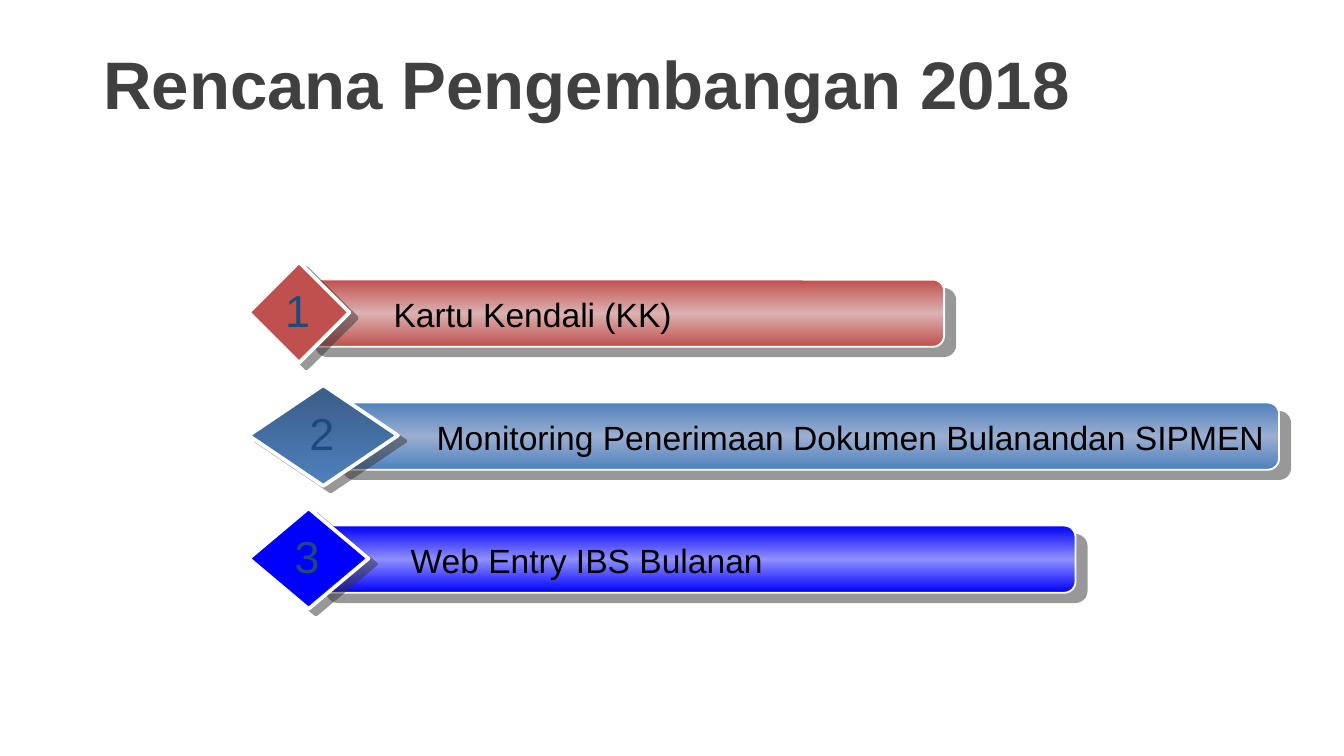
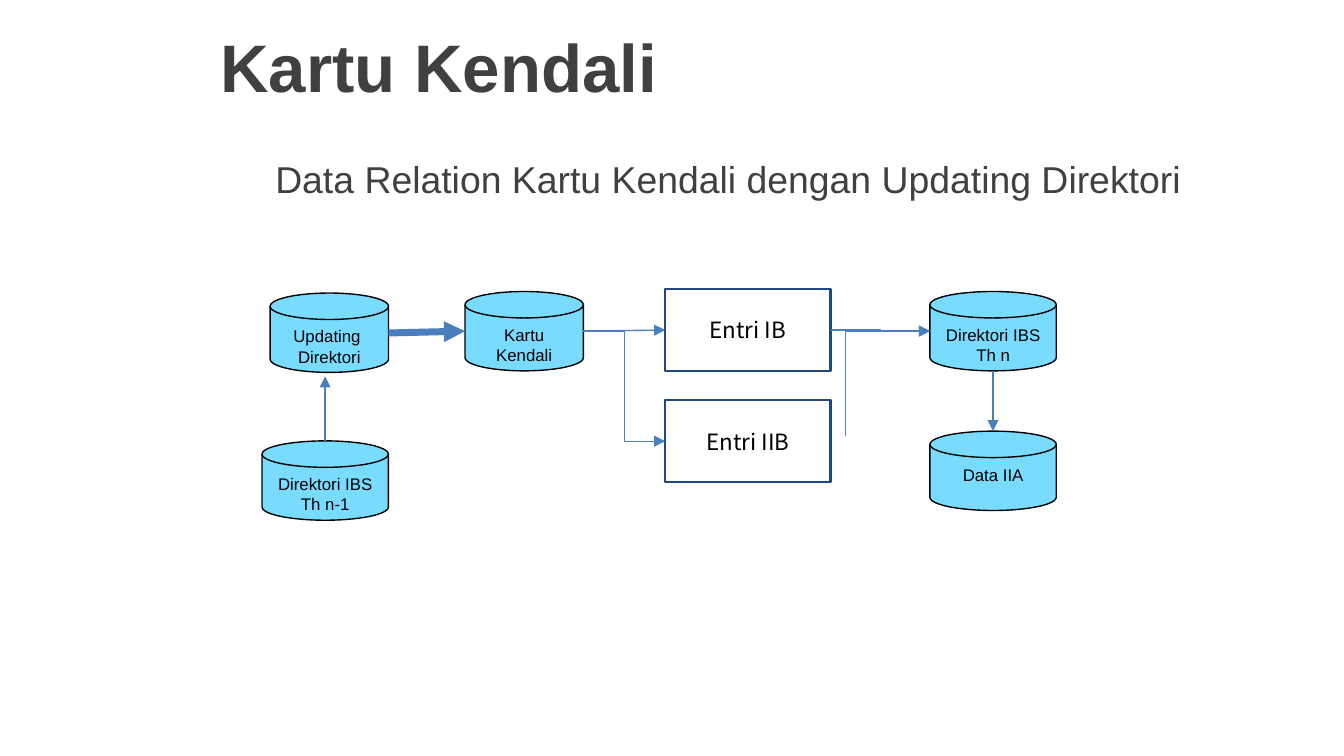
"""Build the 2018 development plan and control card slides."""
from copy import deepcopy
from dataclasses import dataclass

from lxml.etree import SubElement
from pptx import Presentation
from pptx.dml.color import RGBColor
from pptx.enum.shapes import MSO_CONNECTOR, MSO_SHAPE
from pptx.enum.text import MSO_ANCHOR, MSO_AUTO_SIZE, PP_ALIGN
from pptx.oxml.ns import qn
from pptx.util import Pt


@dataclass(frozen=True)
class Theme:
    """Hold the colours, fonts and type sizes of the deck."""
    font: str = "Arial"
    entry_font: str = "Noto Sans CJK KR"
    heading: str = "404040"
    ink: str = "000000"
    navy: str = "1F497D"
    white: str = "FFFFFF"
    disk: str = "79DCFF"
    arrow: str = "4B7EBC"
    shadow: str = "333333"
    title_size: float = 36
    number_size: float = 24
    subtitle_size: float = 20
    label_size: float = 18
    entry_size: float = 12
    disk_size: float = 9


THEME = Theme()


def points(*values):
    """Convert numbers to point lengths."""
    return [Pt(value) for value in values]


def write(shape, text, size, colour, font=THEME.font, bold=False, align=PP_ALIGN.LEFT,
          anchor=MSO_ANCHOR.TOP, wrap=True):
    """Set and format the text of a shape."""
    frame = shape.text_frame
    frame.text = text
    frame.word_wrap = wrap
    frame.vertical_anchor = anchor
    for paragraph in frame.paragraphs:
        paragraph.alignment = align
        for span in paragraph.runs:
            span.font.name = font
            span.font.size = Pt(size)
            span.font.bold = bold
            span.font.color.rgb = RGBColor.from_string(colour)


def add_heading(page, text, area, size, bold=False):
    """Add a vertically centred heading."""
    box = page.shapes.add_textbox(*points(*area))
    write(box, text, size, THEME.heading, bold=bold, anchor=MSO_ANCHOR.MIDDLE)


def add_title(page, text, left, top):
    """Add a slide title in the shared style."""
    add_heading(page, text, (left, top, 609, 70), THEME.title_size, True)


def paint(shape, colours, line, width):
    """Fill a shape with one colour or a downward gradient and outline it."""
    if len(colours) == 1:
        shape.fill.solid()
        shape.fill.fore_color.rgb = RGBColor.from_string(colours[0])
    else:
        shape.fill.gradient()
        shape.fill.gradient_angle = 270
        stops = shape.fill.gradient_stops
        if len(colours) == 3:
            first = shape._element.spPr.find(".//" + qn("a:gs"))
            first.addnext(deepcopy(first))
            stops = shape.fill.gradient_stops
        for index, (stop, colour) in enumerate(zip(stops, colours)):
            stop.position = index / (len(colours) - 1)
            stop.color.rgb = RGBColor.from_string(colour)
    shape.line.color.rgb = RGBColor.from_string(line)
    shape.line.width = Pt(width)
    shape.shadow.inherit = False


def cast_shadow(shape, distance, angle):
    """Give a shape a hard, half-transparent shadow."""
    effects = shape._element.spPr.find(qn("a:effectLst"))
    shadow = SubElement(effects, qn("a:outerShdw"), blurRad="0", dist=str(Pt(distance)),
                        dir=str(angle * 60000), algn="ctr", rotWithShape="0")
    colour = SubElement(shadow, qn("a:srgbClr"), val=THEME.shadow)
    SubElement(colour, qn("a:alpha"), val="50000")


def add_plan_row(page, number, text, top, width, label_width, bar_colours, diamond_colours):
    """Add a numbered diamond with its bar, scaled by the diamond's width."""
    left = 133.2
    shapes = page.shapes.add_group_shape().shapes
    bar = shapes.add_shape(MSO_SHAPE.ROUNDED_RECTANGLE,
                           *points(left + 0.56 * width, top, 6.34 * width, 36))
    paint(bar, bar_colours, THEME.white, 1)
    cast_shadow(bar, 7.8, 40)
    diamond = shapes.add_shape(MSO_SHAPE.DIAMOND, *points(left, top - 9.4, width, 54))
    paint(diamond, diamond_colours, THEME.white, 2)
    cast_shadow(diamond, 5, 37)
    label = shapes.add_textbox(*points(left + 0.89 * width, top + 4.3, label_width, 29))
    write(label, text, THEME.label_size, THEME.ink)
    properties = label.text_frame.paragraphs[0]._p.get_or_add_pPr()
    properties.set("marL", str(Pt(22.5)))
    properties.set("indent", "0")
    digit = shapes.add_textbox(*points(left + width / 2 - 14.8, top - 2, 28, 36.4))
    write(digit, str(number), THEME.number_size, THEME.navy, align=PP_ALIGN.CENTER, wrap=False)
    for box in (label, digit):
        box.text_frame.auto_size = MSO_AUTO_SIZE.SHAPE_TO_FIT_TEXT


def add_disk(page, text, left, top, width):
    """Add a data store."""
    disk = page.shapes.add_shape(MSO_SHAPE.FLOWCHART_MAGNETIC_DISK,
                                 *points(left, top, width, 42.5))
    paint(disk, [THEME.disk], THEME.ink, 0.75)
    write(disk, text, THEME.disk_size, THEME.ink, align=PP_ALIGN.CENTER)


def add_entry(page, text, top):
    """Add a data entry box and return it."""
    box = page.shapes.add_shape(MSO_SHAPE.RECTANGLE, *points(356.4, top, 88.6, 44))
    paint(box, [THEME.white], THEME.navy, 1.25)
    write(box, text, THEME.entry_size, THEME.ink, THEME.entry_font,
          align=PP_ALIGN.CENTER, anchor=MSO_ANCHOR.MIDDLE)
    return box


def add_arrow(page, begin, end, kind=MSO_CONNECTOR.STRAIGHT, width=0.75):
    """Add an arrow and return it."""
    arrow = page.shapes.add_connector(kind, *points(*begin, *end))
    arrow.line.color.rgb = RGBColor.from_string(THEME.arrow)
    arrow.line.width = Pt(width)
    SubElement(arrow.line._get_or_add_ln(), qn("a:tailEnd"), type="triangle")
    SubElement(arrow._element.spPr, qn("a:effectLst"))
    return arrow


def add_corner_arrow(page, begin, end):
    """Add an arrow that runs up and then right, as a quarter-turned elbow."""
    middle_x, middle_y = (begin[0] + end[0]) / 2, (begin[1] + end[1]) / 2
    half_x, half_y = (begin[1] - end[1]) / 2, (end[0] - begin[0]) / 2
    arrow = add_arrow(page, (middle_x + half_x, middle_y + half_y),
                      (middle_x - half_x, middle_y - half_y), MSO_CONNECTOR.ELBOW)
    properties = arrow._element.spPr
    properties.find(qn("a:xfrm")).set("rot", str(90 * 60000))
    properties.find(qn("a:prstGeom")).set("prst", "bentConnector2")


def build_plan(page):
    """Lay out the development plan."""
    add_title(page, "Rencana Pengembangan 2018", 48.2, 9.4)
    rows = [
        ("Kartu Kendali (KK)", 54, 270, ["C0504D", "DCB1B1", "C0504D"], ["C0504D"]),
        ("Monitoring Penerimaan Dokumen Bulanandan SIPMEN", 80, 496,
         ["4F81BD", "9AAED1", "4F81BD"], ["395C87", "4F81BD"]),
        ("Web Entry IBS Bulanan", 64.2, 322, ["0000FF", "8F8FFF", "0000FF"], ["0000FF"]),
    ]
    for index, (text, *style) in enumerate(rows):
        add_plan_row(page, index + 1, text, 149.8 + 65.9 * index, *style)


def build_relation(page):
    """Lay out the data relation diagram."""
    add_title(page, "Kartu Kendali", 110.9, 0)
    add_heading(page, "Data Relation Kartu Kendali dengan Updating Direktori",
                (140.4, 77.8, 560, 36), THEME.subtitle_size)
    narrow, wide = 63.4, 67.7
    for disk in [
        ("Updating \nDirektori", 144.7, 157, narrow),
        (" Kartu \nKendali", 249.1, 156.2, narrow),
        ("Direktori IBS\nTh n", 498.2, 156.2, wide),
        ("Direktori IBS\nTh n-1", 140.4, 236.2, wide),
        ("Data IIA", 498.2, 231, wide),
    ]:
        add_disk(page, *disk)
    first_entry = add_entry(page, "Entri IB", 154.8)
    add_entry(page, "Entri IIB", 214.4)
    card, directory = (312.5, 177.4), (498.2, 177.4)
    add_arrow(page, (208.1, 178.4), (249.1, 177.4), width=3.75)
    add_arrow(page, (174.2, 236.2), (174.2, 201.6))
    add_arrow(page, card, (356.4, 176.8)).end_connect(first_entry, 1)
    add_arrow(page, card, (356.4, 236.4), MSO_CONNECTOR.ELBOW)
    add_arrow(page, (445, 176.8), directory, MSO_CONNECTOR.ELBOW)
    add_corner_arrow(page, (453, 233.6), directory)
    add_arrow(page, (532, 198.7), (532, 231))


def main():
    """Build and save the deck."""
    deck = Presentation()
    deck.slide_width, deck.slide_height = points(720, 405)
    for build in (build_plan, build_relation):
        build(deck.slides.add_slide(deck.slide_layouts[6]))
    deck.save("out.pptx")


if __name__ == "__main__":
    main()
